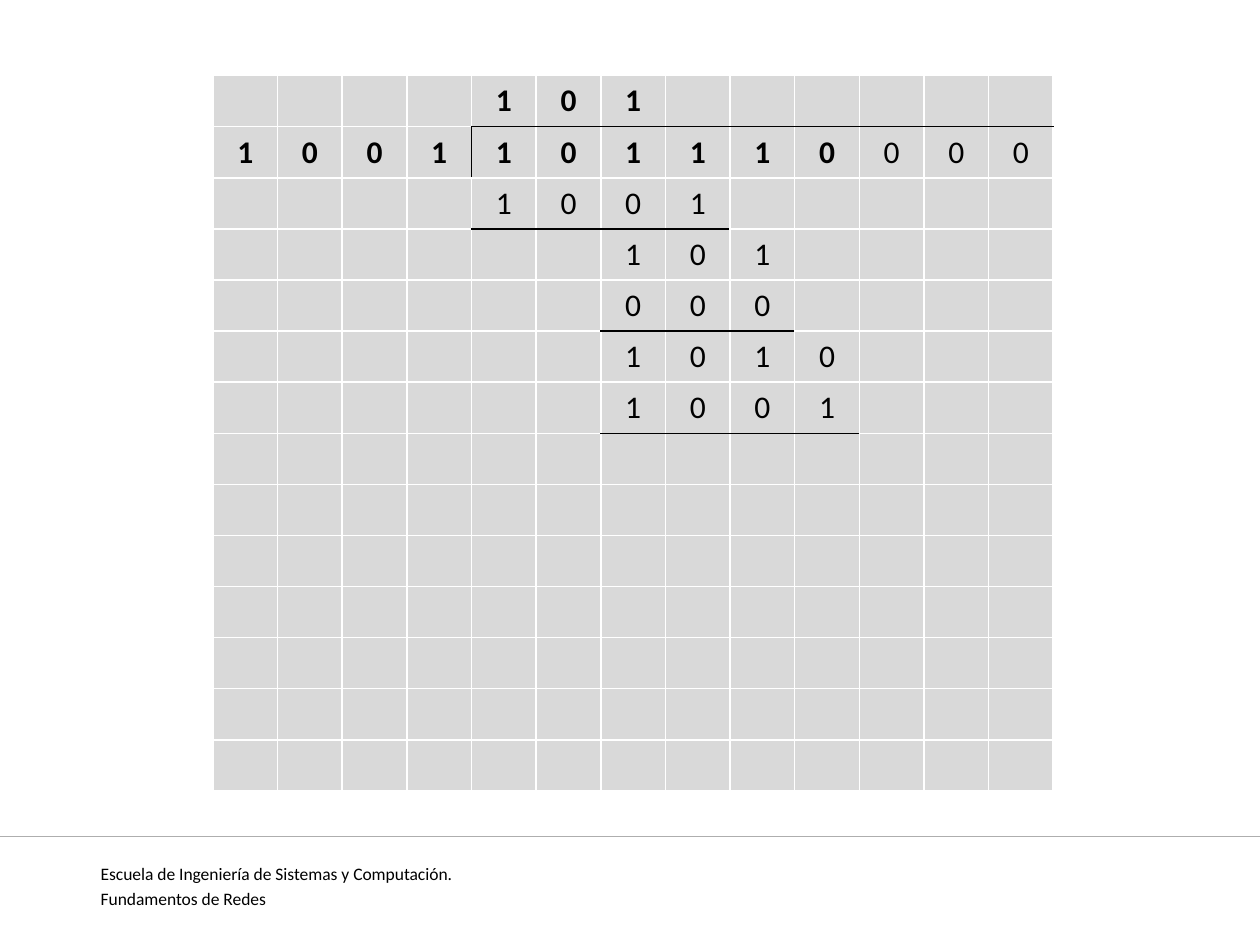
"""Build a slide showing the long division of a binary message by 1001."""
from dataclasses import dataclass

from lxml import etree
from pptx import Presentation
from pptx.dml.color import RGBColor
from pptx.enum.shapes import MSO_CONNECTOR
from pptx.enum.text import MSO_ANCHOR, PP_ALIGN
from pptx.oxml.ns import qn
from pptx.util import Inches, Pt

STRAIGHT = MSO_CONNECTOR.STRAIGHT
MIDDLE = MSO_ANCHOR.MIDDLE
CENTER, JUSTIFY = PP_ALIGN.CENTER, PP_ALIGN.JUSTIFY

FOOTER = ("Escuela de Ingeniería de Sistemas y Computación.", "Fundamentos de Redes")
ROWS, COLUMNS = 14, 13
DIGITS = [
    (0, 4, "101", True),
    (1, 0, "1001101110", True),
    (1, 10, "000", False),
    (2, 4, "1001", False),
    (3, 6, "101", False),
    (4, 6, "000", False),
    (5, 6, "1010", False),
    (6, 6, "1001", False),
]
RULES_BELOW = {0: range(4, 13), 2: range(4, 8), 4: range(6, 9), 6: range(6, 10)}
DIVISOR_EDGE = (1, 3)


@dataclass(frozen=True)
class Theme:
    font: str = "Calibri"
    ink: str = "000000"
    cell: str = "D9D9D9"
    grid: str = "FFFFFF"
    divider: str = "AEAEAE"
    digit_size: int = 18
    footer_size: int = 10


THEME = Theme()


def style_paragraph(para, size, alignment, bold=False):
    para.alignment = alignment
    para.font.name = THEME.font
    para.font.size = Pt(size)
    para.font.bold = bold
    para.font.color.rgb = RGBColor.from_string(THEME.ink)


def edge_colors(row, column):
    inked = {
        "L": (row, column - 1) == DIVISOR_EDGE,
        "R": (row, column) == DIVISOR_EDGE,
        "T": column in RULES_BELOW.get(row - 1, ()),
        "B": column in RULES_BELOW.get(row, ()),
    }
    return {side: THEME.ink if dark else THEME.grid for side, dark in inked.items()}


def set_borders(cell, colors):
    properties = cell._tc.get_or_add_tcPr()
    for position, (side, color) in enumerate(colors.items()):
        line = etree.Element(qn(f"a:ln{side}"), w=str(Pt(1)))
        fill = etree.SubElement(line, qn("a:solidFill"))
        etree.SubElement(fill, qn("a:srgbClr"), val=color)
        properties.insert(position, line)


def add_division(page, left, top, width, height):
    table = page.shapes.add_table(ROWS, COLUMNS, left, top, width, height).table
    table.first_row = table.horz_banding = False
    for column in table.columns:
        column.width = round(width / COLUMNS)
    for row in table.rows:
        row.height = round(height / ROWS)
    content = {
        (row, start + offset): (digit, bold)
        for row, start, digits, bold in DIGITS
        for offset, digit in enumerate(digits)
    }
    for row in range(ROWS):
        for column in range(COLUMNS):
            cell = table.cell(row, column)
            digit, bold = content.get((row, column), ("", False))
            cell.text = digit
            cell.vertical_anchor = MIDDLE
            cell.margin_top = cell.margin_bottom = 0
            cell.fill.solid()
            cell.fill.fore_color.rgb = RGBColor.from_string(THEME.cell)
            style_paragraph(cell.text_frame.paragraphs[0], THEME.digit_size, CENTER, bold)
            set_borders(cell, edge_colors(row, column))


def add_footer(page, left, top, width, height):
    frame = page.shapes.add_textbox(left, top, width, height).text_frame
    frame.word_wrap = True
    frame.text = "\n".join(FOOTER)
    for index, para in enumerate(frame.paragraphs):
        style_paragraph(para, THEME.footer_size, JUSTIFY)
        para.space_before = Pt(2 if index else 0)


def add_divider(page, width, y):
    line = page.shapes.add_connector(STRAIGHT, 0, y, width, y)
    line.line.color.rgb = RGBColor.from_string(THEME.divider)
    line.line.width = Pt(0.75)
    etree.SubElement(line._element.spPr, qn("a:effectLst"))


def main():
    deck = Presentation()
    deck.slide_width, deck.slide_height = Inches(10), Inches(7.5)
    page = deck.slides.add_slide(deck.slide_layouts[6])
    add_footer(page, Inches(0.7), Inches(6.8), Inches(8.98), Inches(0.39))
    add_divider(page, deck.slide_width, Inches(6.64))
    add_division(page, Inches(1.69), Inches(0.6), Inches(6.67), Inches(5.68))
    deck.save("out.pptx")


if __name__ == "__main__":
    main()
